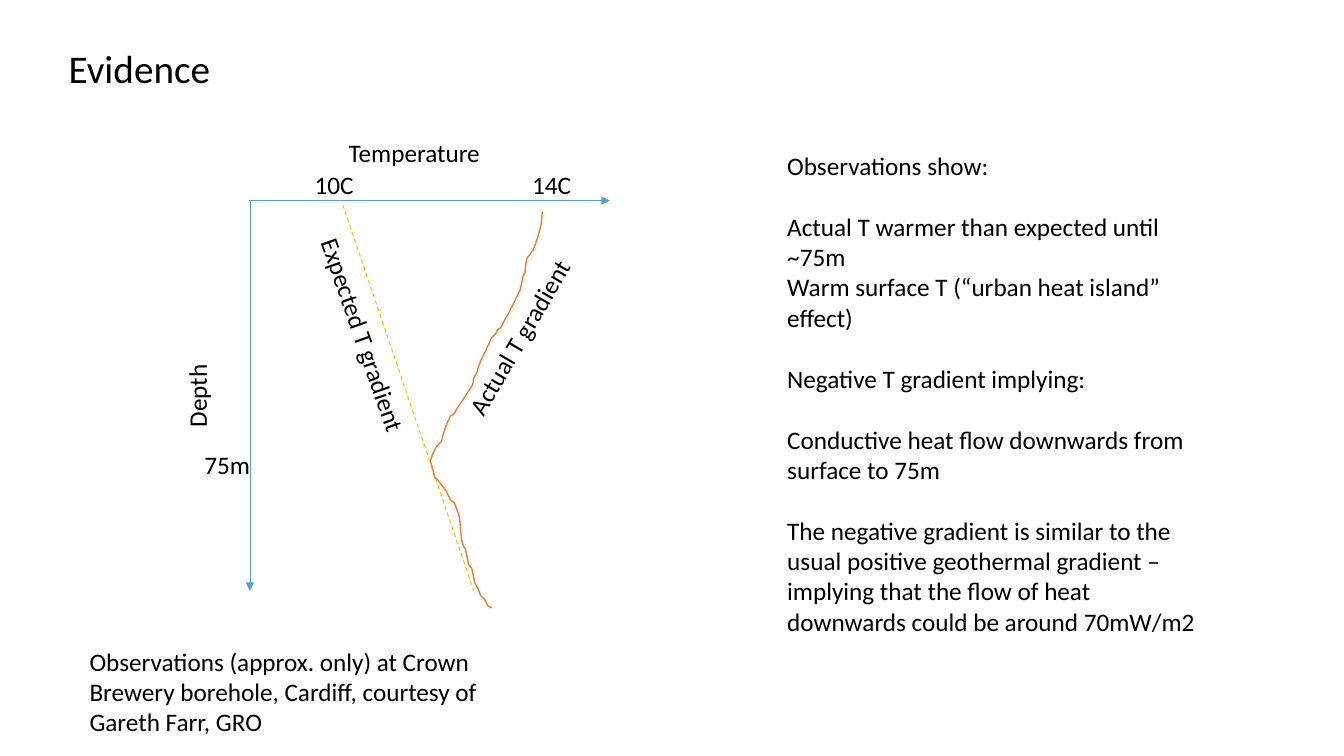
from lxml import etree
from pptx import Presentation
from pptx.dml.color import RGBColor
from pptx.enum import dml, shapes, text
from pptx.oxml import ns
from pptx.util import Pt

BLACK = RGBColor(0x00, 0x00, 0x00)
AXIS_BLUE = RGBColor(0x5B, 0x9B, 0xD5)
EXPECTED_GOLD = RGBColor(0xFF, 0xC0, 0x00)
ACTUAL_ORANGE = RGBColor(0xED, 0x7D, 0x31)

# Points (x, y) down the measured temperature profile
ACTUAL_PROFILE = [
    (387.4, 151.2), (386.6, 160), (384.5, 168.5), (382.3, 175), (380.9, 178.6),
    (376.6, 184.3), (375.8, 187.2), (375.1, 194.4), (373.7, 197.3), (371.5, 207.4),
    (368.6, 213.1), (365.8, 218.9), (364.3, 221.8), (362.9, 224.6), (360.7, 228.2),
    (357.8, 234), (355.7, 235.4), (354.2, 238.3), (351.4, 241.2), (349.9, 244.1),
    (347, 250.6), (343.4, 257.8), (341.3, 263.5), (340.6, 266.4), (338.4, 270),
    (337.7, 275), (331.9, 283.7), (326.2, 292.3), (324.7, 295.2), (321.8, 297.4),
    (319, 303.1), (316.8, 309.6), (315.4, 315.4), (312.5, 318.2), (311, 320.4),
    (309.6, 323.3), (307.4, 329), (309.6, 337), (310.3, 340.6), (313.2, 343.4),
    (315.4, 346.3), (318.2, 349.9), (319.7, 352.8), (321.8, 357.1), (324.7, 359.3),
    (327.6, 367.2), (328.3, 370.1), (329, 378), (329.8, 385.9), (331.2, 390.2),
    (332.6, 392.4), (334.8, 403.2), (337, 406.1), (338.4, 412.6), (339.1, 416.2),
    (341.3, 419.8), (343.4, 425.5), (346.3, 428.4), (348.5, 432.7), (351.4, 434.2),
]

# Each finding with the space above it
FINDINGS = [
    ("Observations show:", 0),
    ("Actual T warmer than expected until ~75m", 22),
    ("Warm surface T (“urban heat island” effect)", 0),
    ("Negative T gradient implying:", 22),
    ("Conductive heat flow downwards from surface to 75m", 22),
    ("The negative gradient is similar to the usual positive geothermal gradient – "
     "implying that the flow of heat downwards could be around 70mW/m2", 22),
]


def write(paragraph, words, size=18, color=BLACK, font="Calibri", before=0):
    paragraph.alignment = text.PP_ALIGN.LEFT
    paragraph.space_before = Pt(before)
    run = paragraph.add_run()
    run.text = words
    run.font.size, run.font.name = Pt(size), font
    run.font.color.rgb = color


class Sketch:
    """Holds the slide and the style of its elements."""
    label_height = 29

    def __init__(self, slide):
        self.slide = slide

    def fill_box(self, box, place, paragraphs, **style):
        box.left, box.top, box.width, box.height = map(Pt, place)
        frame = box.text_frame
        frame.word_wrap = True
        frame.auto_size = text.MSO_AUTO_SIZE.NONE
        frame.vertical_anchor = text.MSO_ANCHOR.TOP
        for number, (words, before) in enumerate(paragraphs):
            paragraph = frame.add_paragraph() if number else frame.paragraphs[0]
            write(paragraph, words, before=before, **style)

    def title(self, words, place):
        self.fill_box(self.slide.shapes.title, place, [(words, 0)], size=28)

    def body(self, paragraphs, place):
        body = self.slide.placeholders[1]
        self.fill_box(body, place, paragraphs)
        for paragraph in body.text_frame.paragraphs:
            props = paragraph._p.get_or_add_pPr()
            props.set("marL", "0")
            props.set("indent", "0")
            etree.SubElement(props, ns.qn("a:buNone"))

    def label(self, words, left, top, width, height=label_height, turn=0):
        box = self.slide.shapes.add_textbox(0, 0, 0, 0)
        self.fill_box(box, (left, top, width, height), [(words, 0)])
        box.rotation = turn

    def line(self, start, end, color, width, dash=None, arrow=False):
        line = self.slide.shapes.add_connector(
            shapes.MSO_CONNECTOR.STRAIGHT, *map(Pt, start + end))
        line.line.color.rgb, line.line.width = color, Pt(width)
        if dash:
            line.line.dash_style = dash
        if arrow:
            etree.SubElement(line.line._get_or_add_ln(), ns.qn("a:tailEnd"), type="triangle")
        etree.SubElement(line._element.spPr, ns.qn("a:effectLst"))

    def curve(self, points, color, width):
        first, *rest = [(Pt(x), Pt(y)) for x, y in points]
        builder = self.slide.shapes.build_freeform(*first)
        builder.add_line_segments(rest, close=False)
        curve = builder.convert_to_shape()
        curve.fill.background()
        curve.line.color.rgb, curve.line.width = color, Pt(width)
        curve.shadow.inherit = False


presentation = Presentation()
presentation.slide_width, presentation.slide_height = Pt(960), Pt(540)
sketch = Sketch(presentation.slides.add_slide(presentation.slide_layouts[1]))

# Heading and findings
sketch.title("Evidence", (41.8, 28.1, 198, 41))
sketch.body(FINDINGS, (555.1, 103.7, 307.4, 378))

# Depth and temperature axes
sketch.line((178.5, 143.3), (178.5, 422), AXIS_BLUE, 0.5, arrow=True)
sketch.line((178, 143.3), (435.6, 143.3), AXIS_BLUE, 0.5, arrow=True)
sketch.label("Temperature", 242, 94.5, 184.3)
sketch.label("Depth", 99.4, 256.3, 82.8, turn=270)
for temperature, left in (("10C", 217.7), ("14C", 373)):
    sketch.label(temperature, left, 117.5, 53.3)
sketch.label("75m", 139, 317.5, 53.3)

# Gradients
sketch.line((244.8, 146.2), (338.4, 422), EXPECTED_GOLD, 0.75, dash=dml.MSO_LINE.DASH)
sketch.curve(ACTUAL_PROFILE, ACTUAL_ORANGE, 1)
sketch.label("Expected T gradient", 171.4, 236.9, 184.3, turn=70.8)
sketch.label("Actual T gradient", 290.2, 206.6, 184.3, turn=300.3)

# Source of the measurements
sketch.label("Observations (approx. only) at Crown Brewery borehole, Cardiff, "
             "courtesy of Gareth Farr, GRO", 56.9, 458, 338.4, height=72.7)

presentation.save("out.pptx")
